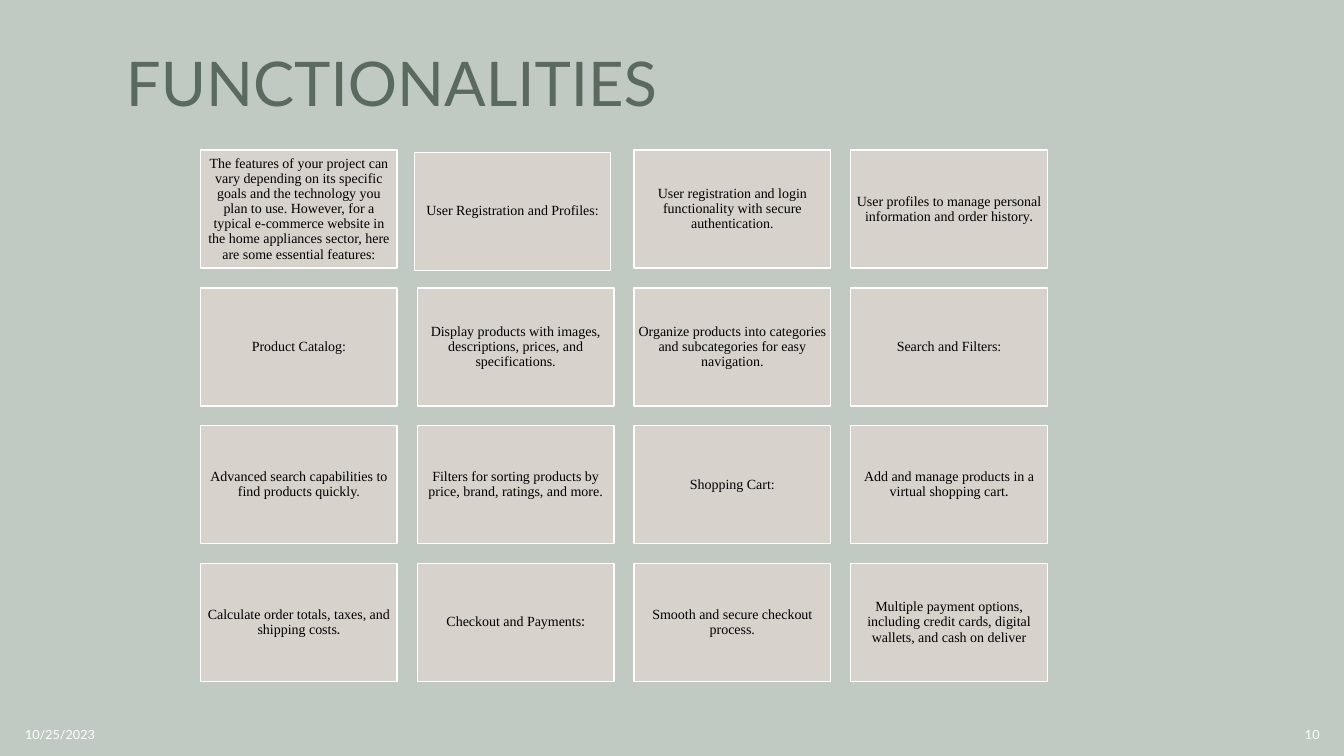
from dataclasses import dataclass

import pptx
import pptx.dml.color
import pptx.enum.shapes
import pptx.enum.text
import pptx.util

Pt = pptx.util.Pt
PP_ALIGN = pptx.enum.text.PP_ALIGN

COLORS = {
    "background": "C0C9C2",
    "title": "5B6A5E",
    "card": "D8D2CD",
    "white": "FFFFFF",
    "black": "000000",
}
HEADING_FONT = "Lato"
CARD_FONT = "Times New Roman"

# Card grid, in points
COLUMNS = 4
GRID_LEFT, GRID_TOP = 143.3, 107.3
CARD_WIDTH, CARD_HEIGHT = 140.4, 84.25
COLUMN_STEP, ROW_STEP = 154.8, 98.4
CARD_INSET = 2.9


@dataclass
class Card:
    text: str
    tail: str = ""  # closing punctuation set in the heading font
    dx: float = 0
    dy: float = 0


@dataclass
class FooterLabel:
    text: str
    left: float
    align: PP_ALIGN


CARDS = [
    Card("The features of your project can vary depending on its specific goals "
         "and the technology you plan to use. However, for a typical e-commerce "
         "website in the home appliances sector, here are some essential features:"),
    Card("User Registration and Profiles:", dx=-2.2, dy=1.6),
    Card("User registration and login functionality with secure authentication."),
    Card("User profiles to manage personal information and order history", "."),
    Card("Product Catalog:"),
    Card("Display products with images, descriptions, prices, and specifications."),
    Card("Organize products into categories and subcategories for easy navigation."),
    Card("Search and Filters:"),
    Card("Advanced search capabilities to find products quickly."),
    Card("Filters for sorting products by price, brand, ratings, and more."),
    Card("Shopping Cart:"),
    Card("Add and manage products in a virtual shopping cart", "."),
    Card("Calculate order totals, taxes, and shipping costs", "."),
    Card("Checkout and Payments", ":"),
    Card("Smooth and secure checkout process."),
    Card("Multiple payment options, including credit cards, digital wallets, "
         "and cash on deliver"),
]

FOOTER_LABELS = [
    FooterLabel("10/25/2023", 10.8, PP_ALIGN.LEFT),
    FooterLabel("10", 733.7, PP_ALIGN.RIGHT),
]


def rgb(name: str) -> pptx.dml.color.RGBColor:
    return pptx.dml.color.RGBColor.from_string(COLORS[name])


def set_font(font, name: str, size: float, color: str) -> None:
    font.name = name
    font.size = Pt(size)
    font.color.rgb = rgb(color)


def set_frame(tf) -> None:
    tf.word_wrap = True
    tf.auto_size = pptx.enum.text.MSO_AUTO_SIZE.NONE
    tf.vertical_anchor = pptx.enum.text.MSO_ANCHOR.MIDDLE


def add_title(s, text: str) -> None:
    sp = s.shapes.title
    sp.left, sp.top, sp.width, sp.height = Pt(82.8), Pt(22.3), Pt(707.8), Pt(79.2)
    set_frame(sp.text_frame)
    p = sp.text_frame.paragraphs[0]
    p.text = text
    p.alignment = PP_ALIGN.LEFT
    p.line_spacing = 0.9
    set_font(p.font, HEADING_FONT, 44, "title")


def add_footer_label(s, label: FooterLabel) -> None:
    sp = s.shapes.add_textbox(Pt(label.left), Pt(510.5), Pt(216), Pt(28.8))
    set_frame(sp.text_frame)
    p = sp.text_frame.paragraphs[0]
    p.text = label.text
    p.alignment = label.align
    set_font(p.font, HEADING_FONT, 9, "white")


def add_card(s, card: Card, row: int, column: int) -> None:
    sp = s.shapes.add_shape(
        pptx.enum.shapes.MSO_SHAPE.RECTANGLE,
        Pt(GRID_LEFT + column * COLUMN_STEP + card.dx),
        Pt(GRID_TOP + row * ROW_STEP + card.dy),
        Pt(CARD_WIDTH), Pt(CARD_HEIGHT))
    sp.shadow.inherit = False
    sp.fill.solid()
    sp.fill.fore_color.rgb = rgb("card")
    sp.line.color.rgb = rgb("white")
    sp.line.width = Pt(1)

    tf = sp.text_frame
    set_frame(tf)
    tf.margin_left = tf.margin_right = Pt(CARD_INSET)
    tf.margin_top = tf.margin_bottom = Pt(CARD_INSET)
    p = tf.paragraphs[0]
    p.alignment = PP_ALIGN.CENTER
    p.line_spacing = 0.9
    for text, font in ((card.text, CARD_FONT), (card.tail, HEADING_FONT)):
        if text:
            r = p.add_run()
            r.text = text
            set_font(r.font, font, 10, "black")


def main() -> None:
    prs = pptx.Presentation()
    prs.slide_width, prs.slide_height = Pt(960), Pt(540)
    s = prs.slides.add_slide(prs.slide_layouts.get_by_name("Title Only"))
    s.background.fill.solid()
    s.background.fill.fore_color.rgb = rgb("background")

    # Footer and title
    for label in FOOTER_LABELS:
        add_footer_label(s, label)
    add_title(s, "FUNCTIONALITIES")

    # Feature cards, row by row
    for i, card in enumerate(CARDS):
        add_card(s, card, *divmod(i, COLUMNS))

    prs.save("out.pptx")


if __name__ == "__main__":
    main()
